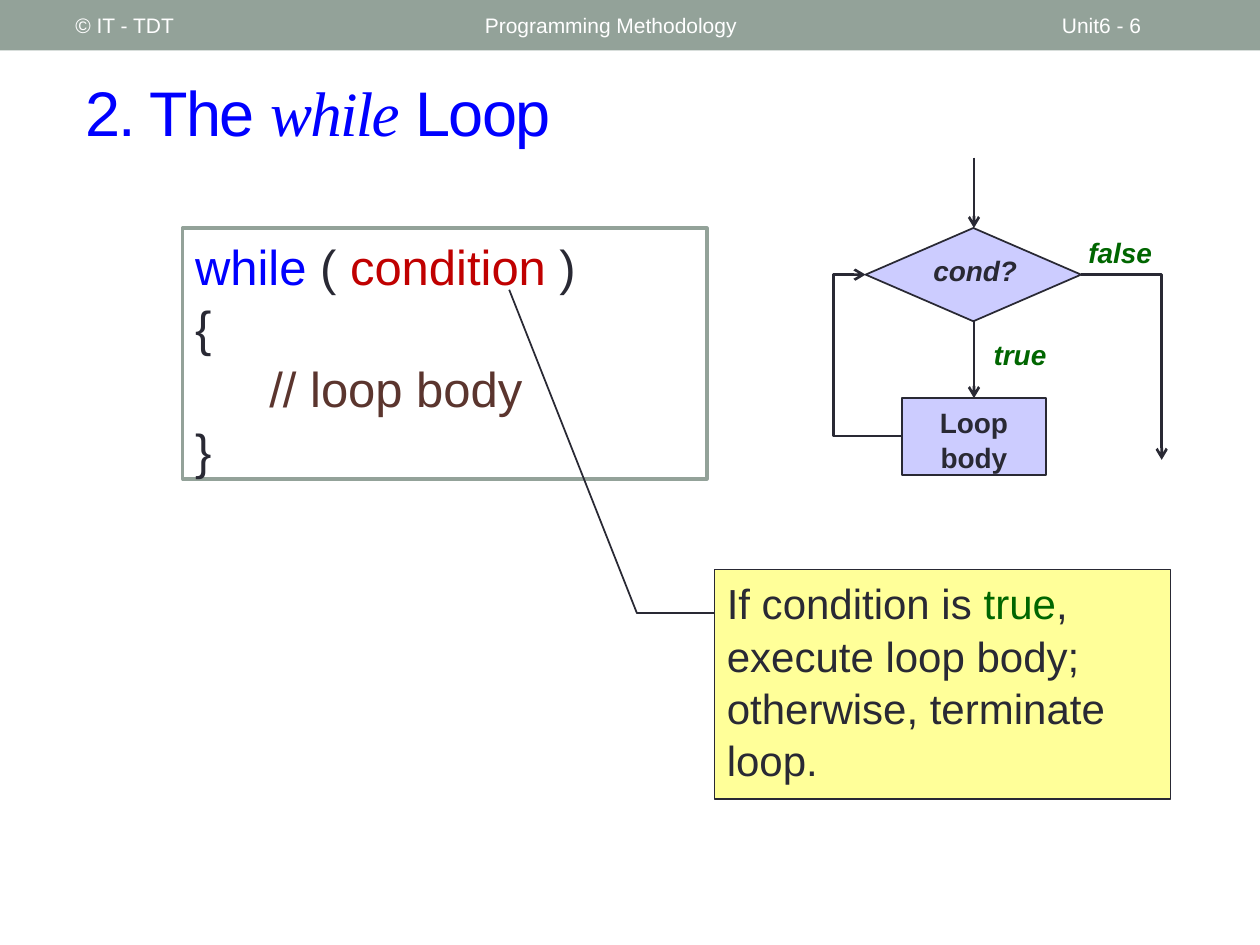
"""Build the slide that explains the while loop with code, a flowchart and a callout."""
from typing import NamedTuple

from lxml import etree
from pptx import Presentation
from pptx.dml.color import RGBColor
from pptx.enum.shapes import MSO_CONNECTOR, MSO_SHAPE
from pptx.enum.text import MSO_ANCHOR, MSO_AUTO_SIZE, PP_ALIGN
from pptx.oxml.ns import qn
from pptx.util import Inches, Pt

RECT, DECISION = MSO_SHAPE.RECTANGLE, MSO_SHAPE.FLOWCHART_DECISION
PROCESS, CALLOUT = MSO_SHAPE.FLOWCHART_PROCESS, MSO_SHAPE.LINE_CALLOUT_2
STRAIGHT, ELBOW = MSO_CONNECTOR.STRAIGHT, MSO_CONNECTOR.ELBOW
LEFT, CENTER = PP_ALIGN.LEFT, PP_ALIGN.CENTER
TOP, MIDDLE = MSO_ANCHOR.TOP, MSO_ANCHOR.MIDDLE

COLORS = {
    "band": "93A299", "white": "FFFFFF", "ink": "292934", "keyword": "0000FF",
    "condition": "C00000", "comment": "5B352E", "truth": "006600",
    "node": "CCCCFF", "note": "FFFF99",
}
COLUMNS, ROWS = 100, 75
WIDTH, HEIGHT = Inches(10), Inches(7.5)


class Area(NamedTuple):
    """A rectangle in grid columns and rows."""
    column: float
    row: float
    columns: float
    rows: float


class Style(NamedTuple):
    """How the paragraphs of one text look."""
    size: float
    color: str = "ink"
    bold: bool = False
    italic: bool = False
    align: int = LEFT
    anchor: int = TOP
    spacing: float = 1.04


class Piece(NamedTuple):
    """A stretch of text in its own colour."""
    text: str
    color: str


class Box(NamedTuple):
    """A filled preset shape."""
    kind: int
    area: Area
    fill: str
    line: str | None = "ink"
    weight: float = 1


class Label(NamedTuple):
    """A text without a box around it."""
    text: str
    area: Area
    style: Style


class Arrow(NamedTuple):
    """A connector with an arrowhead at its end."""
    start: tuple[float, float]
    end: tuple[float, float]
    kind: int = STRAIGHT
    preset: str = "line"
    bend: int | None = None


HEADER = Style(12, "white", anchor=MIDDLE, spacing=1)
NODE = Style(16, bold=True, align=CENTER)
QUESTION = NODE._replace(italic=True)
BRANCH = QUESTION._replace(color="truth")
CODE = [
    [Piece("while", "keyword"), Piece(" ( ", "ink"),
     Piece("condition", "condition"), Piece(" )", "ink")],
    [Piece("{", "ink")],
    [Piece("// loop body", "comment")],
    [Piece("}", "ink")],
]
NOTE = [[Piece("If condition is ", "ink"), Piece("true", "truth"),
         Piece(", execute loop body; otherwise, terminate loop.", "ink")]]
LABELS = [
    Label("Programming Methodology", Area(37.5, 0.2, 45, 3.6), HEADER),
    Label("Unit6 - 6", Area(83.3, 0.2, 11.7, 3.6), HEADER),
    Label("© IT - TDT", Area(5, 0.2, 31.7, 3.6), HEADER),
    Label("cond?", Area(72, 19.5, 10.8, 3.7), QUESTION),
    Label("true", Area(76.7, 26.2, 8.5, 3.7), BRANCH),
    Label("false", Area(85.1, 18.1, 7.6, 3.7), BRANCH),
]
ARROWS = [
    Arrow((77.3, 12.5), (77.3, 18.1)),
    Arrow((77.3, 25.5), (77.3, 31.6)),
    Arrow((71.6, 34.6), (68.7, 21.8), ELBOW, "bentConnector3", 187800),
    Arrow((85.8, 21.8), (92.2, 36.5), ELBOW, "bentConnector2"),
]


def rgb(name: str) -> RGBColor:
    """Look up a named colour."""
    return RGBColor.from_string(COLORS[name])


def across(columns: float) -> int:
    """Turn grid columns into a length."""
    return round(WIDTH * columns / COLUMNS)


def down(rows: float) -> int:
    """Turn grid rows into a length."""
    return round(HEIGHT * rows / ROWS)


def bounds(area: Area) -> tuple[int, int, int, int]:
    """Give left, top, width and height of an area."""
    return across(area.column), down(area.row), across(area.columns), down(area.rows)


def write(frame, lines: list[list[Piece]], style: Style) -> None:
    """Fill a text frame with coloured lines."""
    frame.word_wrap = True
    frame.vertical_anchor = style.anchor
    for index, pieces in enumerate(lines):
        paragraph = frame.add_paragraph() if index else frame.paragraphs[0]
        paragraph.alignment, paragraph.line_spacing = style.align, style.spacing
        font = paragraph.font
        font.name, font.size = "Arial", Pt(style.size)
        font.bold, font.italic = style.bold, style.italic
        for piece in pieces:
            run = paragraph.add_run()
            run.text = piece.text
            run.font.color.rgb = rgb(piece.color)


def draw_box(slide, box: Box):
    """Draw a preset shape and return it."""
    shape = slide.shapes.add_shape(box.kind, *bounds(box.area))
    shape.shadow.inherit = False
    shape.fill.solid()
    shape.fill.fore_color.rgb = rgb(box.fill)
    if box.line:
        shape.line.color.rgb = rgb(box.line)
        shape.line.width = Pt(box.weight)
    else:
        shape.line.fill.background()
    return shape


def draw_label(slide, label: Label) -> None:
    """Draw a plain text."""
    frame = slide.shapes.add_textbox(*bounds(label.area)).text_frame
    write(frame, [[Piece(label.text, label.style.color)]], label.style)


def draw_arrow(slide, arrow: Arrow) -> None:
    """Draw a straight or bent arrow."""
    (x1, y1), (x2, y2) = arrow.start, arrow.end
    connector = slide.shapes.add_connector(
        arrow.kind, across(x1), down(y1), across(x2), down(y2))
    connector.line.color.rgb = rgb("ink")
    connector.line.width = Pt(1.5)
    properties = connector._element.spPr
    geometry = properties.find(qn("a:prstGeom"))
    geometry.set("prst", arrow.preset)
    if arrow.bend is not None:
        etree.SubElement(geometry.find(qn("a:avLst")), qn("a:gd"),
                         name="adj1", fmla=f"val {arrow.bend}")
    etree.SubElement(properties.find(qn("a:ln")), qn("a:tailEnd"), type="arrow")
    etree.SubElement(properties, qn("a:effectLst"))


def write_title(title) -> None:
    """Place the title and set its mixed fonts."""
    title.left, title.top, title.width, title.height = bounds(Area(5.8, 4.2, 91.7, 9.2))
    frame = title.text_frame
    frame.auto_size = MSO_AUTO_SIZE.NONE
    write(frame, [[Piece(text, "keyword") for text in ("2. The ", "while", " Loop")]],
          Style(36, anchor=MIDDLE, spacing=1))
    runs = frame.paragraphs[0].runs
    runs[1].font.name, runs[1].font.italic = "Times New Roman", True
    for run in runs:
        run.font._element.set("spc", "-100")


def main() -> None:
    """Build and save the presentation."""
    deck = Presentation()
    deck.slide_width, deck.slide_height = WIDTH, HEIGHT
    slide = deck.slides.add_slide(deck.slide_layouts[5])
    write_title(slide.shapes.title)
    draw_box(slide, Box(RECT, Area(0, 0, COLUMNS, 4), "band", None))
    code = draw_box(slide, Box(RECT, Area(14.5, 18.1, 41.6, 19.9), "white", "band", 2.08))
    write(code.text_frame, CODE, Style(28))
    code.text_frame.paragraphs[2]._p.get_or_add_pPr().set("marL", str(across(5.9)))
    draw_box(slide, Box(DECISION, Area(68.7, 18.1, 17.1, 7.4), "node"))
    body = draw_box(slide, Box(PROCESS, Area(71.6, 31.6, 11.4, 6.1), "node"))
    write(body.text_frame, [[Piece("Loop body", "ink")]], NODE)
    for label in LABELS:
        draw_label(slide, label)
    for arrow in ARROWS:
        draw_arrow(slide, arrow)
    note = draw_box(slide, Box(CALLOUT, Area(56.7, 45.2, 36.2, 18.2), "note"))
    for index, share in enumerate((0.19, 0, 0.19, -0.17, -1.22, -0.45)):
        note.adjustments[index] = share
    write(note.text_frame, NOTE, Style(24))
    deck.save("out.pptx")


if __name__ == "__main__":
    main()
